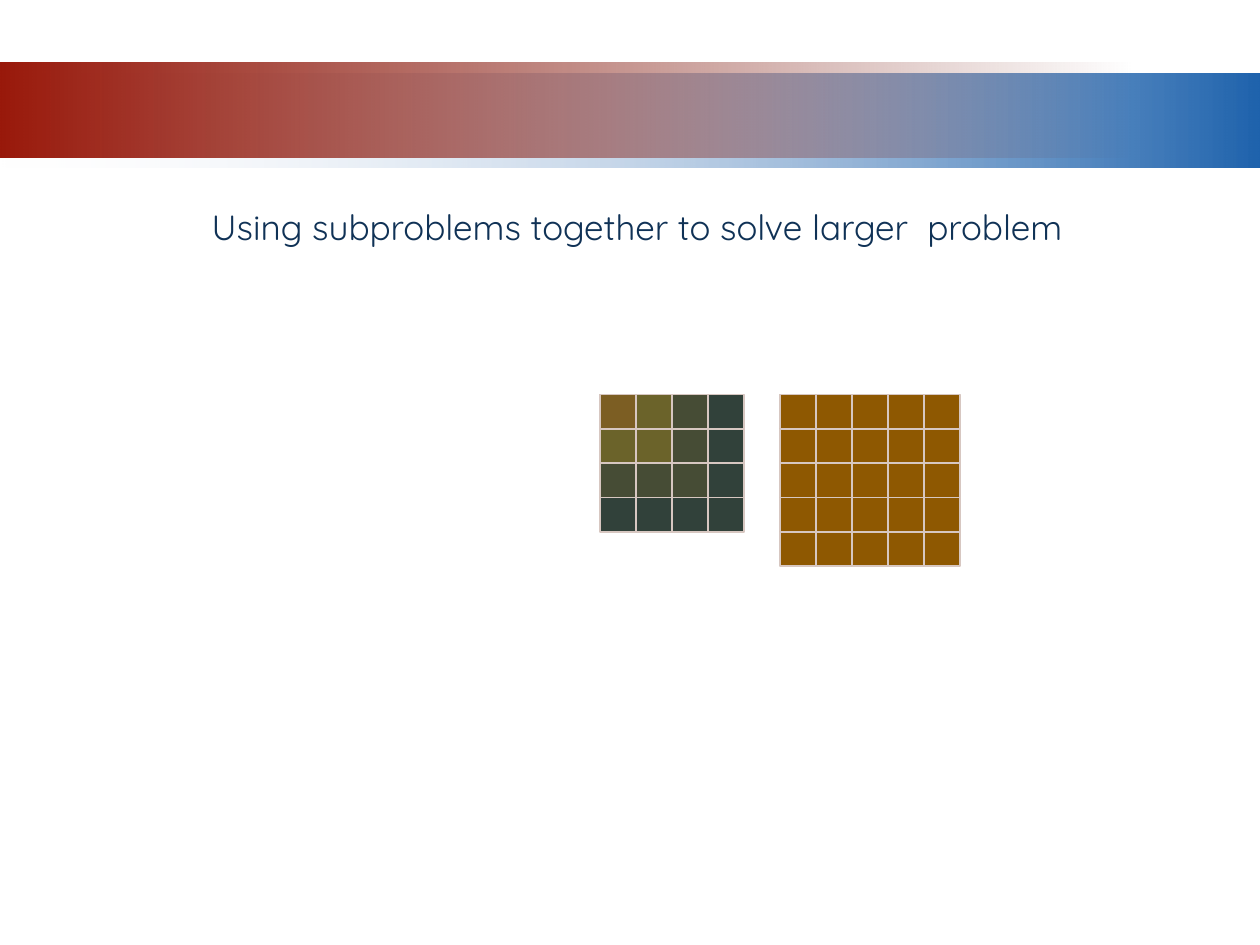
import pptx
import pptx.dml.color
import pptx.enum.shapes
import pptx.enum.text
import pptx.oxml
import pptx.oxml.ns
import pptx.util

Inches = pptx.util.Inches
Pt = pptx.util.Pt
RECTANGLE = pptx.enum.shapes.MSO_SHAPE.RECTANGLE

SLIDE_WIDTH, SLIDE_HEIGHT = 10, 7.5
GRID_LEFT, GRID_TOP = 4.76, 3.13
CELL_WIDTH, CELL_HEIGHT = SLIDE_WIDTH / 35, SLIDE_HEIGHT / 27.5

# Squares from back to front: first column, cells per side, colour, opacity in percent
SQUARES = [
    (5, 5, "8E5801", 100),
    (0, 4, "31413A", 100),
    (0, 3, "9C7822", 20),
    (0, 2, "FFC000", 20),
    (0, 1, "C34D07", 20),
]


def color(code):
    return pptx.dml.color.RGBColor.from_string(code)


def set_opacity(shape, opacities):
    """Give each colour of the shape's fill its opacity in percent."""
    colors = shape._element.spPr.iter(pptx.oxml.ns.qn("a:srgbClr"))
    for element, opacity in zip(colors, opacities):
        if opacity < 100:
            alpha = pptx.oxml.parse_xml(
                f'<a:alpha {pptx.oxml.ns.nsdecls("a")} val="{opacity * 1000}"/>')
            element.append(alpha)


def add_rectangle(shapes, left, top, width, height):
    rectangle = shapes.add_shape(
        RECTANGLE, Inches(left), Inches(top), Inches(width), Inches(height))
    rectangle.shadow.inherit = False
    return rectangle


def add_band(page, top, width, codes, opacities):
    """Add a header band that fades from left to right."""
    band = add_rectangle(page.shapes, 0, top, width, SLIDE_HEIGHT / 10)
    band.line.fill.background()
    band.fill.gradient()
    band.fill.gradient_angle = 0
    for stop, code, position in zip(band.fill.gradient_stops, codes, (0, 1)):
        stop.color.rgb = color(code)
        stop.position = position
    set_opacity(band, opacities)


def add_square(page, first_column, side, code, opacity):
    """Add a square of side x side cells as one group."""
    group = page.shapes.add_group_shape()
    for row in range(side):
        for column in range(first_column, first_column + side):
            cell = add_rectangle(
                group.shapes,
                GRID_LEFT + column * CELL_WIDTH, GRID_TOP + row * CELL_HEIGHT,
                CELL_WIDTH, CELL_HEIGHT)
            cell.fill.solid()
            cell.fill.fore_color.rgb = color(code)
            set_opacity(cell, [opacity])
            cell.line.color.rgb = color("D7C7C1")
            cell.line.width = Pt(1)


def add_title(page, text):
    box = page.shapes.title
    box.left, box.top = Inches(1.58), Inches(1.58)
    box.width, box.height = Inches(7.26), Inches(0.44)
    frame = box.text_frame
    frame.word_wrap = False
    frame.auto_size = pptx.enum.text.MSO_AUTO_SIZE.SHAPE_TO_FIT_TEXT
    frame.vertical_anchor = pptx.enum.text.MSO_ANCHOR.TOP
    para = frame.paragraphs[0]
    para.alignment = pptx.enum.text.PP_ALIGN.LEFT
    span = para.add_run()
    span.text = text
    span.font.name = "Quicksand"
    span.font.size = Pt(20)
    span.font.color.rgb = color("103256")


def main():
    deck = pptx.Presentation()
    deck.slide_width, deck.slide_height = Inches(SLIDE_WIDTH), Inches(SLIDE_HEIGHT)
    page = deck.slides.add_slide(deck.slide_layouts.get_by_name("Title Only"))

    # Header bands
    add_band(page, 0.58, SLIDE_WIDTH, ("F1F2F7", "1F63AD"), (0, 100))
    add_band(page, 0.5, SLIDE_WIDTH * 0.9, ("99190B", "6D1208"), (100, 0))

    # Larger problem on the right, nested subproblems on the left
    for square in SQUARES:
        add_square(page, *square)

    add_title(page, "Using subproblems together to solve larger  problem")
    deck.save("out.pptx")


if __name__ == "__main__":
    main()
